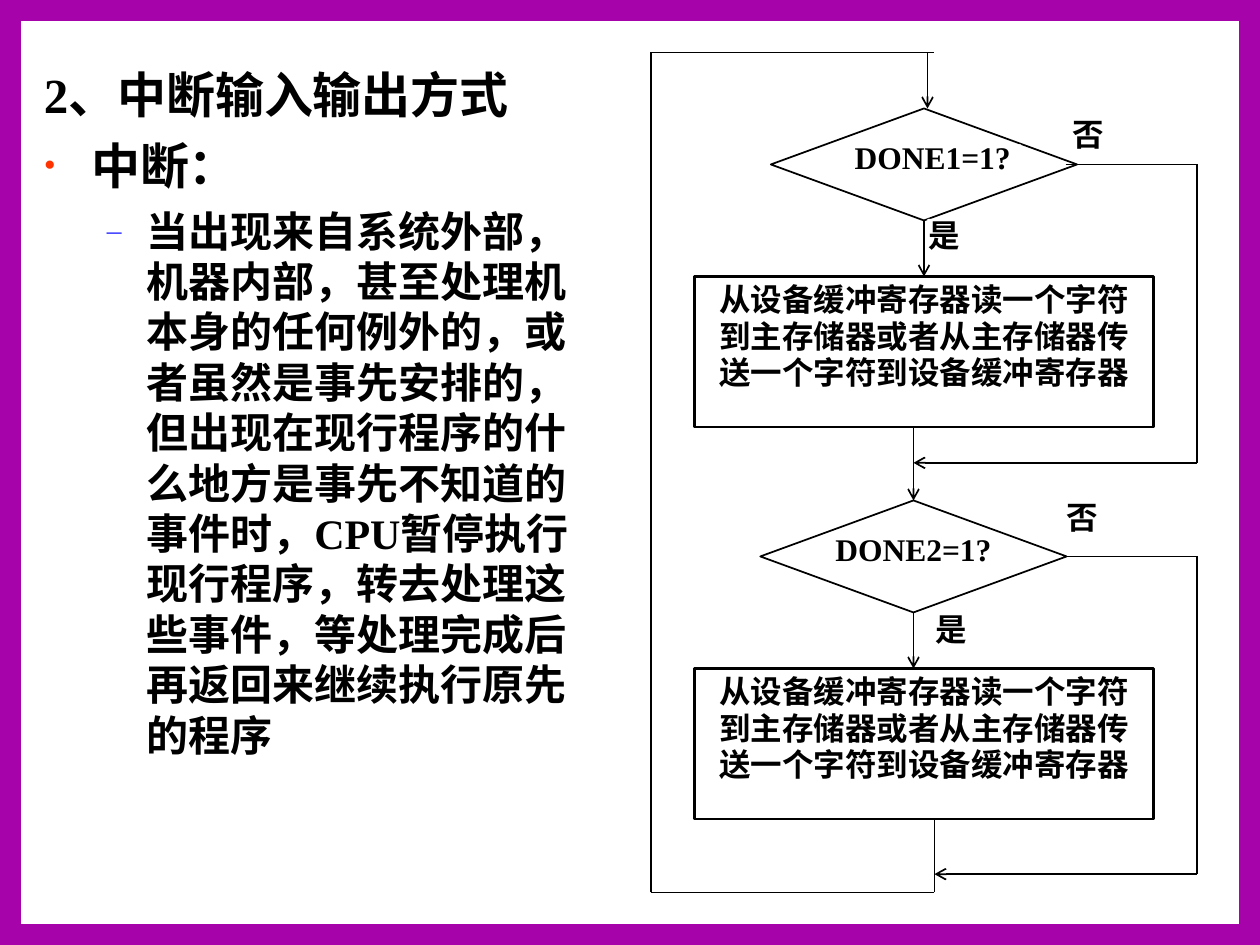
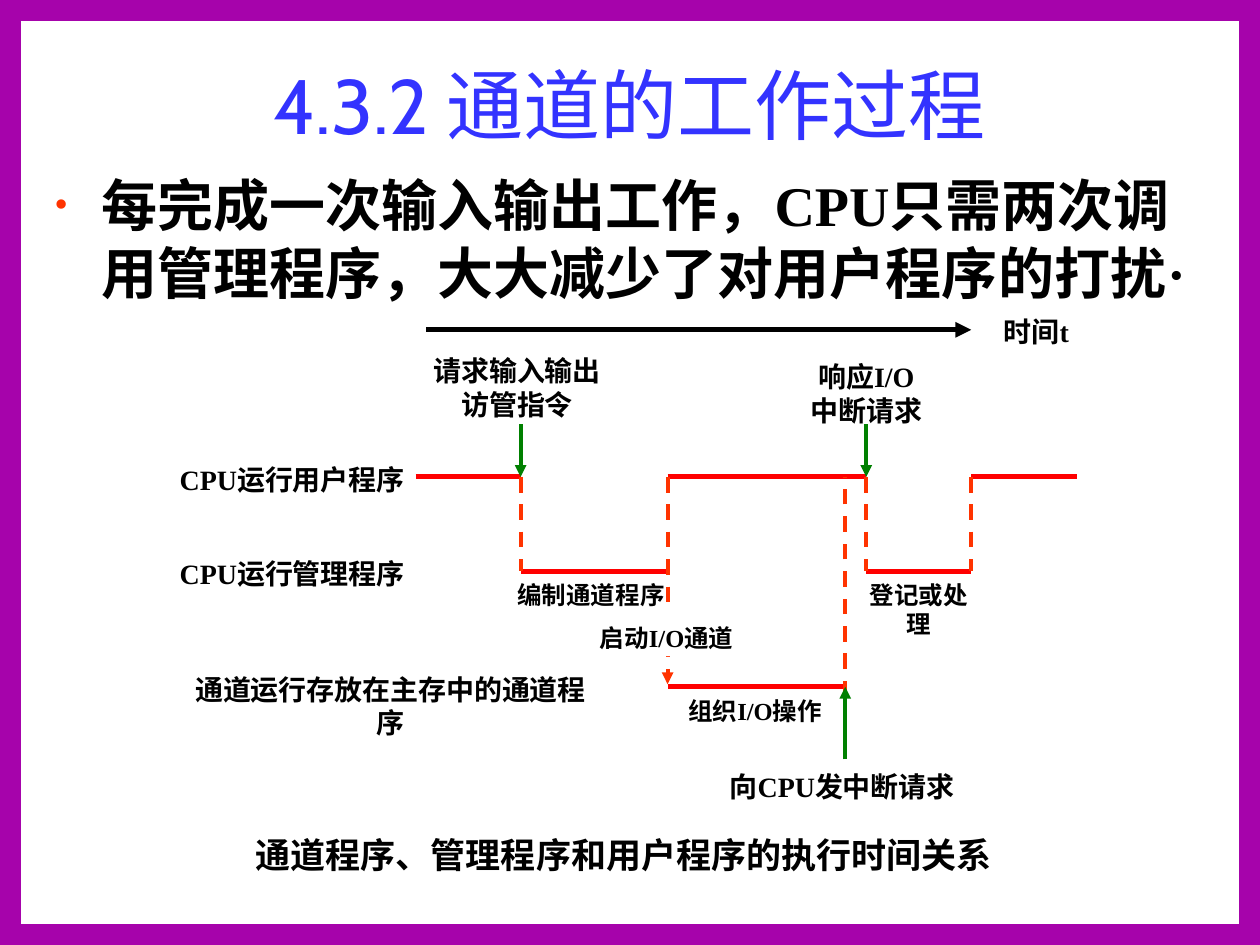
from lxml.etree import SubElement
from pptx import Presentation
from pptx.dml.color import RGBColor as RGB
from pptx.enum.dml import MSO_LINE_DASH_STYLE as Dash
from pptx.enum.shapes import MSO_CONNECTOR as Link
from pptx.enum.shapes import MSO_SHAPE as Preset
from pptx.enum.text import MSO_ANCHOR as Anchor
from pptx.enum.text import PP_ALIGN as Align
from pptx.oxml.ns import qn
from pptx.util import Pt

COLORS = {
    "frame": "A603AB", "paper": "FFFFFF", "ink": "000000", "title": "3333FF",
    "bullet": "FF3300", "dash": "3333FF", "run": "FF0000", "switch": "FF3300",
    "signal": "008000",
}
SERIF, SANS, CJK = "Times New Roman", "Cabin", "Noto Sans CJK SC"
WIDTH, HEIGHT, BAND = 720, 540, 12
BULLETS = {"•": ("bullet", 27, -27), "–": ("dash", 58.5, -22.5)}


def rgb(name):
    return RGB.from_string(COLORS[name])


class Deck:
    def __init__(self):
        self.prs = Presentation()
        self.prs.slide_width, self.prs.slide_height = Pt(WIDTH), Pt(HEIGHT)
        self.slide = None

    def new_slide(self):
        self.slide = self.prs.slides.add_slide(self.prs.slide_layouts[6])
        for band in ((0, 0, WIDTH, BAND), (0, HEIGHT - BAND, WIDTH, BAND),
                     (0, 0, BAND, HEIGHT), (WIDTH - BAND, 0, BAND, HEIGHT)):
            self.shape(*band, fill="frame")

    def shape(self, x, y, w, h, preset=Preset.RECTANGLE, fill="paper", line=0):
        shape = self.slide.shapes.add_shape(preset, Pt(x), Pt(y), Pt(w), Pt(h))
        shape.shadow.inherit = False
        shape.fill.solid()
        shape.fill.fore_color.rgb = rgb(fill)
        if line:
            shape.line.color.rgb = rgb("ink")
            shape.line.width = Pt(line)
        else:
            shape.line.fill.background()
        return shape

    def textbox(self, x, y, w, h):
        return self.slide.shapes.add_textbox(Pt(x), Pt(y), Pt(w), Pt(h))

    def frame(self, shape, size, side=7.2, top=3.6, wrap=True, lead=0.125):
        """Set the margins; lead lowers the first line by a share of its size."""
        frame = shape.text_frame
        frame.word_wrap = wrap
        frame.vertical_anchor = Anchor.TOP
        frame.margin_left = frame.margin_right = Pt(side)
        frame.margin_top = Pt(top + lead * size)
        frame.margin_bottom = Pt(top)
        return frame

    def paragraph(self, frame, text, size, align=Align.CENTER, font=SERIF,
                  color="ink", bold=True, spacing=1.2, before=0, bullet=None,
                  hanging=False):
        first = not frame.paragraphs[0].runs
        par = frame.paragraphs[0] if first else frame.add_paragraph()
        par.add_run().text = text
        props = par._p.get_or_add_pPr()
        if bullet or hanging:
            tint, left, indent = BULLETS[bullet or "•"]
            props.set("marL", str(Pt(left)))
            props.set("indent", str(Pt(indent)))
        if bullet:
            clr = SubElement(props, qn("a:buClr"))
            SubElement(clr, qn("a:srgbClr"), val=COLORS[tint])
            SubElement(props, qn("a:buSzPct"), val="70000")
            SubElement(props, qn("a:buFont"), typeface=SERIF)
            SubElement(props, qn("a:buChar"), char=bullet)
        par.alignment = align
        par.line_spacing = Pt(round(size * spacing, 1))
        if not first:
            par.space_before = Pt(before)
        par.font.size, par.font.bold, par.font.name = Pt(size), bold, font
        par.font.color.rgb = rgb(color)
        SubElement(props.find(qn("a:defRPr")), qn("a:ea"), typeface=CJK)

    def title(self, text):
        frame = self.frame(self.textbox(36, 24, 648, 60), 44)
        self.paragraph(frame, text, 44, font=SANS, color="title", bold=False)

    def label(self, x, y, w, h, *lines, size=16, filled=False):
        box = self.shape(x, y, w, h) if filled else self.textbox(x, y, w, h)
        frame = self.frame(box, size, wrap=False)
        for text in lines:
            self.paragraph(frame, text, size)

    def chart_text(self, shape, *lines, lead=0.125, **style):
        frame = self.frame(shape, 18, side=0.7, top=0.7, lead=lead)
        for text in lines:
            self.paragraph(frame, text, 18, **style)

    def line(self, x1, y1, x2, y2, color="ink", width=1, head=None, dash=False,
             start=None, end=None):
        link = self.slide.shapes.add_connector(
            Link.STRAIGHT, Pt(x1), Pt(y1), Pt(x2), Pt(y2))
        link.line.color.rgb = rgb(color)
        link.line.width = Pt(width)
        if dash:
            link.line.dash_style = Dash.DASH
        props = link._element.spPr
        if head:
            SubElement(props.find(qn("a:ln")), qn("a:tailEnd"), type=head)
        SubElement(props, qn("a:effectLst"))
        if start:
            link.begin_connect(*start)
        if end:
            link.end_connect(*end)


def interrupt_slide(deck):
    deck.new_slide()

    # Definition on the left
    body = deck.frame(deck.textbox(18, 30, 324, 432), 28)
    deck.paragraph(body, "2、中断输入输出方式", 28, Align.LEFT, hanging=True)
    deck.paragraph(body, "中断：", 28, Align.LEFT, before=7, bullet="•")
    deck.paragraph(
        body, "当出现来自系统外部，机器内部，甚至处理机本身的任何例外的，"
        "或者虽然是事先安排的，但出现在现行程序的什么地方是事先不知道的事件时，"
        "CPU暂停执行现行程序，转去处理这些事件，等处理完成后再返回来继续执行原先的程序",
        24, Align.LEFT, before=6, bullet="–")

    # Two polling stages: decision, transfer box and branch labels
    stage_step, rail = 224, 684
    decisions, transfers = [], []
    stages = [("DONE1=1?", 528, 482.5, (612, 67), (530, 125)),
              ("DONE2=1?", 522, 471.5, (609, 286), (534, 350))]
    for i, (test, center, test_x, no_at, yes_at) in enumerate(stages):
        top = 62 + i * stage_step
        decisions.append(deck.shape(center - 87.5, top, 175, 64,
                                    Preset.DIAMOND, line=1))
        deck.chart_text(deck.shape(test_x, top + 20.5, 101, 21), test,
                        lead=0, spacing=0.96)
        transfer = deck.shape(397, top + 96, 262, 86, line=1.5)
        deck.chart_text(transfer, "从设备缓冲寄存器读一个字符",
                        "到主存储器或者从主存储器传", "送一个字符到设备缓冲寄存器",
                        font=CJK, spacing=1.16)
        transfers.append(transfer)
        for answer, (x, y) in (("否", no_at), ("是", yes_at)):
            deck.chart_text(deck.shape(x, y, 25, 23), answer, font=CJK,
                            spacing=0.96, align=Align.LEFT)

    # Downward flow
    deck.line(530, 30, 530, 62, head="arrow")
    deck.line(528, 126, 528, 158, head="arrow",
              start=(decisions[0], 2), end=(transfers[0], 0))
    deck.line(522, 244, 522, 286, head="arrow", end=(decisions[1], 0))
    deck.line(522, 350, 522, 382, head="arrow", start=(decisions[1], 2))
    deck.line(534, 468, 534, 510)

    # "No" branches along the right rail
    deck.line(609, 94, rail, 94)
    deck.line(609, 318, rail, 318, start=(decisions[1], 3))
    for top, bottom, join in ((94, 264.5, 522), (318, 499.5, 534)):
        deck.line(rail, top, rail, bottom)
        deck.line(rail, bottom, join, bottom, head="arrow")

    # Loop back along the left rail
    loop = [(534, 510), (372, 510), (372, 30), (534, 30)]
    for here, there in zip(loop, loop[1:]):
        deck.line(*here, *there)


def channel_slide(deck):
    deck.new_slide()
    deck.title("4.3.2 通道的工作过程")
    body = deck.frame(deck.textbox(24, 90, 672, 90), 32)
    deck.paragraph(body, "每完成一次输入输出工作，CPU只需两次调用管理程序，"
                   "大大减少了对用户程序的打扰·", 32, Align.LEFT, bullet="•")

    # Moments across, programs down
    begin, request, started, done, respond, resume, finish = (
        237.5, 297.5, 381.5, 483, 495, 555, 615.5)
    user, manager, channel = 272.5, 326.5, 392.5

    # Running periods
    for x1, x2, y in ((begin, request, user), (request, started, manager),
                      (started, respond, user), (respond, resume, manager),
                      (resume, finish, user), (started, done, channel)):
        deck.line(x1, y, x2, y, "run", 3)

    # Switches between programs
    for x in (request, respond, resume):
        deck.line(x, user, x, manager, "switch", 2.25, dash=True)
    deck.line(started, user, started, 391, "switch", 2.25, "triangle", True)
    deck.line(done, 398, done, user, "switch", 2.25, dash=True)

    # Signals and time axis
    for x, y1, y2 in ((request, 242.5, user), (respond, 242.5, user),
                      (done, 434, channel)):
        deck.line(x, y1, x, y2, "signal", 2.25, "triangle")
    deck.line(243.5, 188.5, resume, 188.5, width=3, head="triangle")

    # Labels
    deck.label(564.5, 174, 55.5, 26.5, "时间t")
    deck.label(240.5, 196.5, 110, 46, "请求输入输出", "访管指令")
    deck.label(456, 200, 78, 46, "响应I/O", "中断请求")
    deck.label(93.5, 258.5, 147, 26.5, "CPU运行用户程序")
    deck.label(93.5, 312.5, 147, 26.5, "CPU运行管理程序")
    deck.label(96.5, 378.5, 253.5, 26.5, "通道运行存放在主存中的通道程序")
    deck.label(406, 434, 150.5, 26.5, "向CPU发中断请求")
    deck.label(288.5, 326, 98.5, 24.5, "编制通道程序", size=14)
    deck.label(483, 326, 84, 24.5, "登记或处理", size=14)
    deck.label(332.5, 350.5, 97, 24.5, "启动I/O通道", size=14, filled=True)
    deck.label(383, 392.5, 97, 24.5, "组织I/O操作", size=14)
    deck.label(139, 470, 435, 31.5,
               "通道程序、管理程序和用户程序的执行时间关系", size=20)


def main():
    deck = Deck()
    interrupt_slide(deck)
    channel_slide(deck)
    deck.prs.save("out.pptx")


if __name__ == "__main__":
    main()
